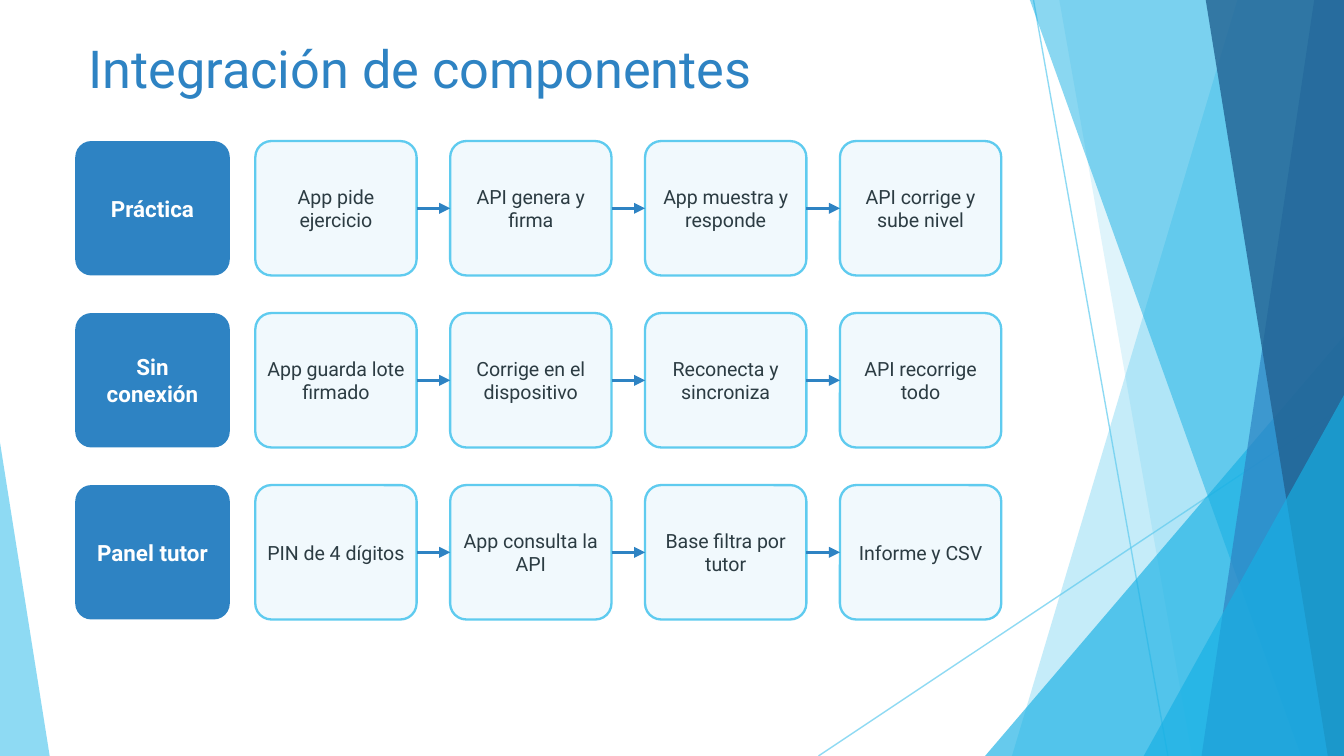
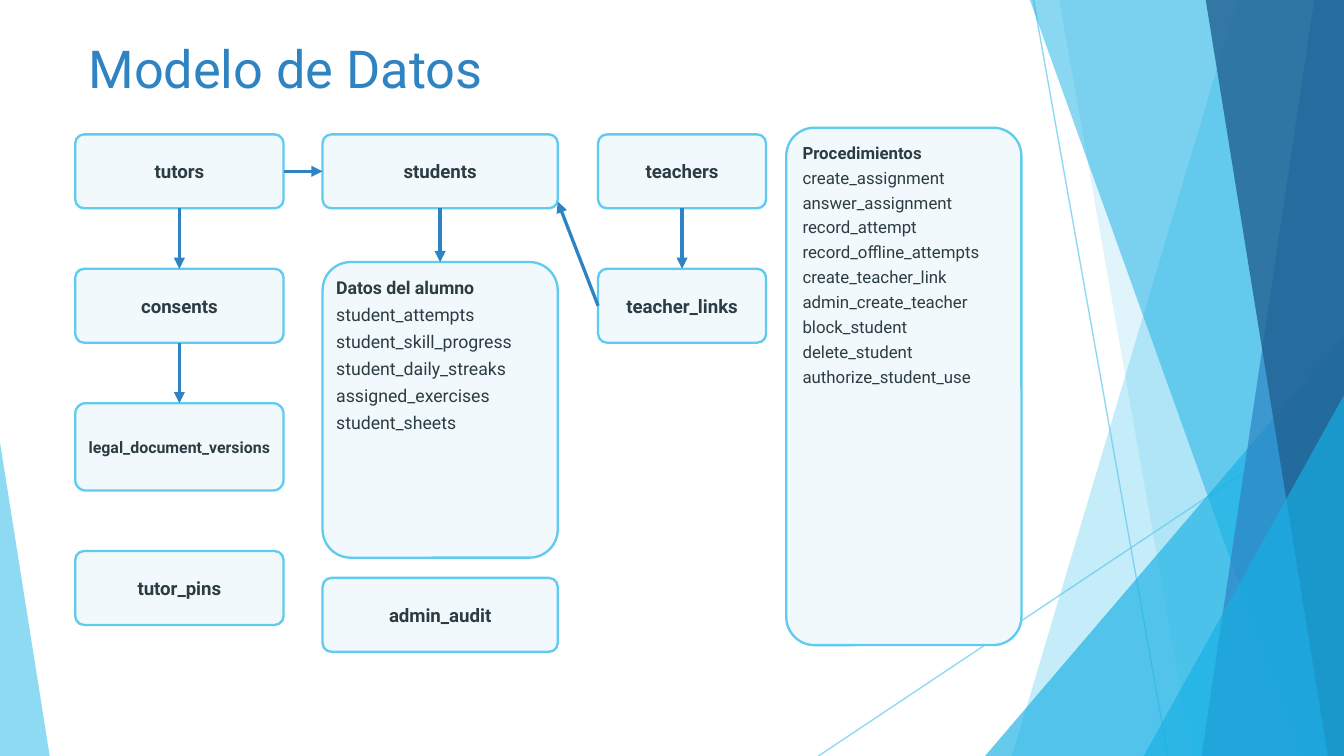
from lxml import etree
from pptx import Presentation
from pptx.dml.color import RGBColor
from pptx.enum.shapes import MSO_CONNECTOR, MSO_SHAPE
from pptx.enum.text import MSO_ANCHOR, PP_ALIGN
from pptx.oxml.ns import qn
from pptx.util import Inches, Pt

STRAIGHT = MSO_CONNECTOR.STRAIGHT
ROUNDED = MSO_SHAPE.ROUNDED_RECTANGLE
TRIANGLE = MSO_SHAPE.ISOSCELES_TRIANGLE
TOP, MIDDLE = MSO_ANCHOR.TOP, MSO_ANCHOR.MIDDLE
LEFT, CENTER = PP_ALIGN.LEFT, PP_ALIGN.CENTER

SKY = RGBColor(0x5F, 0xCB, 0xEF)
CYAN = RGBColor(0x17, 0xB0, 0xE4)
BLUE = RGBColor(0x2E, 0x83, 0xC3)
NAVY = RGBColor(0x22, 0x62, 0x92)
PALE = RGBColor(0xF1, 0xF9, 0xFD)
INK = RGBColor(0x2C, 0x3C, 0x43)
WHITE = RGBColor(0xFF, 0xFF, 0xFF)

FONT = "Roboto"
PAGE_WIDTH = 10
PAGE_HEIGHT = PAGE_WIDTH * 9 / 16
MARGIN = 0.56
SITE_TOP, SITE_LEFT, SITE_BOTTOM, SITE_RIGHT = range(4)

FLOWS = [
    ("Práctica", ["App pide ejercicio", "API genera y firma",
                  "App muestra y responde", "API corrige y sube nivel"]),
    ("Sin conexión", ["App guarda lote firmado", "Corrige en el dispositivo",
                      "Reconecta y sincroniza", "API recorrige todo"]),
    ("Panel tutor", ["PIN de 4 dígitos", "App consulta la API",
                     "Base filtra por tutor", "Informe y CSV"]),
]

TUTOR_COLUMN = (0, 1.55)
STUDENT_COLUMN = (1.84, 1.75)
TEACHER_COLUMN = (3.89, 1.25)
PROCEDURE_COLUMN = (5.29, 1.75)

ENTITIES = [
    ("tutors", TUTOR_COLUMN, 0, 0.55, 10),
    ("students", STUDENT_COLUMN, 0, 0.55, 10),
    ("teachers", TEACHER_COLUMN, 0, 0.55, 10),
    ("consents", TUTOR_COLUMN, 1, 0.55, 10),
    ("teacher_links", TEACHER_COLUMN, 1, 0.55, 10),
    ("legal_document_versions", TUTOR_COLUMN, 2, 0.65, 8.5),
    ("admin_audit", STUDENT_COLUMN, 3.3, 0.55, 10),
    ("tutor_pins", TUTOR_COLUMN, 3.1, 0.55, 10),
]
STUDENT_DATA = ["Datos del alumno", "student_attempts", "student_skill_progress",
                "student_daily_streaks", "assigned_exercises", "student_sheets"]
PROCEDURES = ["Procedimientos", "create_assignment", "answer_assignment",
              "record_attempt", "record_offline_attempts", "create_teacher_link",
              "admin_create_teacher", "block_student", "delete_student",
              "authorize_student_use"]
RELATIONS = [
    ("tutors", SITE_RIGHT, "students", SITE_LEFT),
    ("students", SITE_BOTTOM, "Datos del alumno", SITE_TOP),
    ("tutors", SITE_BOTTOM, "consents", SITE_TOP),
    ("consents", SITE_BOTTOM, "legal_document_versions", SITE_TOP),
    ("teachers", SITE_BOTTOM, "teacher_links", SITE_TOP),
]


def set_opacity(shape, percent):
    color = next(shape._element.spPr.iter(qn("a:srgbClr")))
    etree.SubElement(color, qn("a:alpha"), val=str(percent * 1000))


def add_line(page, start, end, color, width):
    line = page.shapes.add_connector(STRAIGHT, *map(Inches, start + end))
    line.line.color.rgb = color
    line.line.width = Pt(width)
    etree.SubElement(line._element.spPr, qn("a:effectLst"))
    return line


def add_arrow(page, start=(0, 0), end=(0, 0)):
    arrow = add_line(page, start, end, BLUE, 1.75)
    outline = arrow._element.spPr.find(qn("a:ln"))
    etree.SubElement(outline, qn("a:tailEnd"), type="triangle")
    return arrow


def link(page, source, source_site, target, target_site):
    arrow = add_arrow(page)
    arrow.begin_connect(source, source_site)
    arrow.end_connect(target, target_site)


def paint(shape, color, opacity):
    shape.shadow.inherit = False
    shape.fill.solid()
    shape.fill.fore_color.rgb = color
    shape.line.fill.background()
    set_opacity(shape, opacity)


def add_facet(page, top_x, bottom_x, color, opacity):
    top = -0.01
    outline = page.shapes.build_freeform(Inches(top_x), Inches(top))
    corners = [(PAGE_WIDTH, top), (PAGE_WIDTH, PAGE_HEIGHT), (bottom_x, PAGE_HEIGHT)]
    outline.add_line_segments([(Inches(x), Inches(y)) for x, y in corners])
    paint(outline.convert_to_shape(), color, opacity)


def add_triangle(page, left, top, width, apex, color, opacity):
    triangle = page.shapes.add_shape(TRIANGLE, Inches(left), Inches(top),
                                     Inches(width), Inches(PAGE_HEIGHT - top))
    triangle.adjustments[0] = apex
    paint(triangle, color, opacity)


def add_backdrop(page):
    for start, end in [((7.69, 0), (8.69, PAGE_HEIGHT)),
                       ((PAGE_WIDTH, 3.02), (6.09, PAGE_HEIGHT))]:
        set_opacity(add_line(page, start, end, SKY, 0.75), 70)
    add_facet(page, 9.21, 7.53, SKY, 36)
    add_facet(page, 7.88, 8.87, SKY, 20)
    add_triangle(page, 7.33, 2.5, 2.67, 1, CYAN, 66)
    add_facet(page, 7.66, 9.68, CYAN, 50)
    add_facet(page, 9.78, 8.94, BLUE, 70)
    add_facet(page, 8.97, 9.88, NAVY, 80)
    add_triangle(page, 8.51, 2.94, 1.49, 1, CYAN, 66)
    add_triangle(page, 0, 3.29, 0.37, 0, SKY, 70)


def write(frame, lines, size, color, bold=False, align=LEFT, anchor=MIDDLE,
          space_after=0, inset=(0.1, 0.05)):
    frame.word_wrap = True
    frame.vertical_anchor = anchor
    frame.margin_left = frame.margin_right = Inches(inset[0])
    frame.margin_top = frame.margin_bottom = Inches(inset[1])
    for index, line in enumerate(lines):
        para = frame.add_paragraph() if index else frame.paragraphs[0]
        para.text = line
        para.alignment = align
        para.space_after = Pt(space_after)
        para.font.name = FONT
        para.font.size = Pt(size)
        para.font.color.rgb = color
        para.font.bold = bold


def add_title(page, text):
    box = page.shapes.add_textbox(Inches(MARGIN), Inches(0.12), Inches(7.05), Inches(0.76))
    write(box.text_frame, [text], 28, BLUE)


def add_card(page, box, fill=PALE, border=SKY):
    card = page.shapes.add_shape(ROUNDED, *map(Inches, box))
    card.adjustments[0] = 0.12
    card.shadow.inherit = False
    card.fill.solid()
    card.fill.fore_color.rgb = fill
    if border is None:
        card.line.fill.background()
    else:
        card.line.color.rgb = border
        card.line.width = Pt(1.25)
    return card


def add_list_card(page, box, lines, size, space_after, inset):
    card = add_card(page, box)
    write(card.text_frame, lines, size, INK, anchor=TOP,
          space_after=space_after, inset=inset)
    card.text_frame.paragraphs[0].font.bold = True
    return card


def add_flow(page, left, top, name, steps):
    label = add_card(page, (left, top, 1.15, 1), BLUE, None)
    write(label.text_frame, [name], 12, WHITE, True, CENTER, space_after=3)
    previous = None
    for index, step in enumerate(steps):
        card = add_card(page, (left + 1.34 + index * 1.45, top, 1.2, 1))
        write(card.text_frame, [step], 10.5, INK, align=CENTER,
              space_after=3, inset=(0.05, 0.05))
        if previous is not None:
            link(page, previous, SITE_RIGHT, card, SITE_LEFT)
        previous = card


def add_data_model(page, left, top):
    cards = {}
    for name, (offset, width), row, height, size in ENTITIES:
        card = add_card(page, (left + offset, top + row, width, height))
        write(card.text_frame, [name], size, INK, True, CENTER, inset=(0.04, 0.05))
        cards[name] = card
    offset, width = STUDENT_COLUMN
    cards[STUDENT_DATA[0]] = add_list_card(
        page, (left + offset, top + 0.95, width, 2.2), STUDENT_DATA, 9.5, 3, (0.04, 0.05))
    for source, source_site, target, target_site in RELATIONS:
        link(page, cards[source], source_site, cards[target], target_site)
    to_student = add_arrow(page, end=(left + offset + width, top + 0.5))
    to_student.begin_connect(cards["teacher_links"], SITE_LEFT)
    offset, width = PROCEDURE_COLUMN
    add_list_card(page, (left + offset, top - 0.05, width, 3.85),
                  PROCEDURES, 9, 2.5, (0.06, 0.05))


def add_page(deck, title):
    page = deck.slides.add_slide(deck.slide_layouts[6])
    add_backdrop(page)
    add_title(page, title)
    return page


def main():
    deck = Presentation()
    deck.slide_width = Inches(PAGE_WIDTH)
    deck.slide_height = Inches(PAGE_HEIGHT)
    page = add_page(deck, "Integración de componentes")
    for index, (name, steps) in enumerate(FLOWS):
        add_flow(page, MARGIN, 1.05 + index * 1.28, name, steps)
    page = add_page(deck, "Modelo de Datos")
    add_data_model(page, MARGIN, 1)
    deck.save("out.pptx")


if __name__ == "__main__":
    main()
